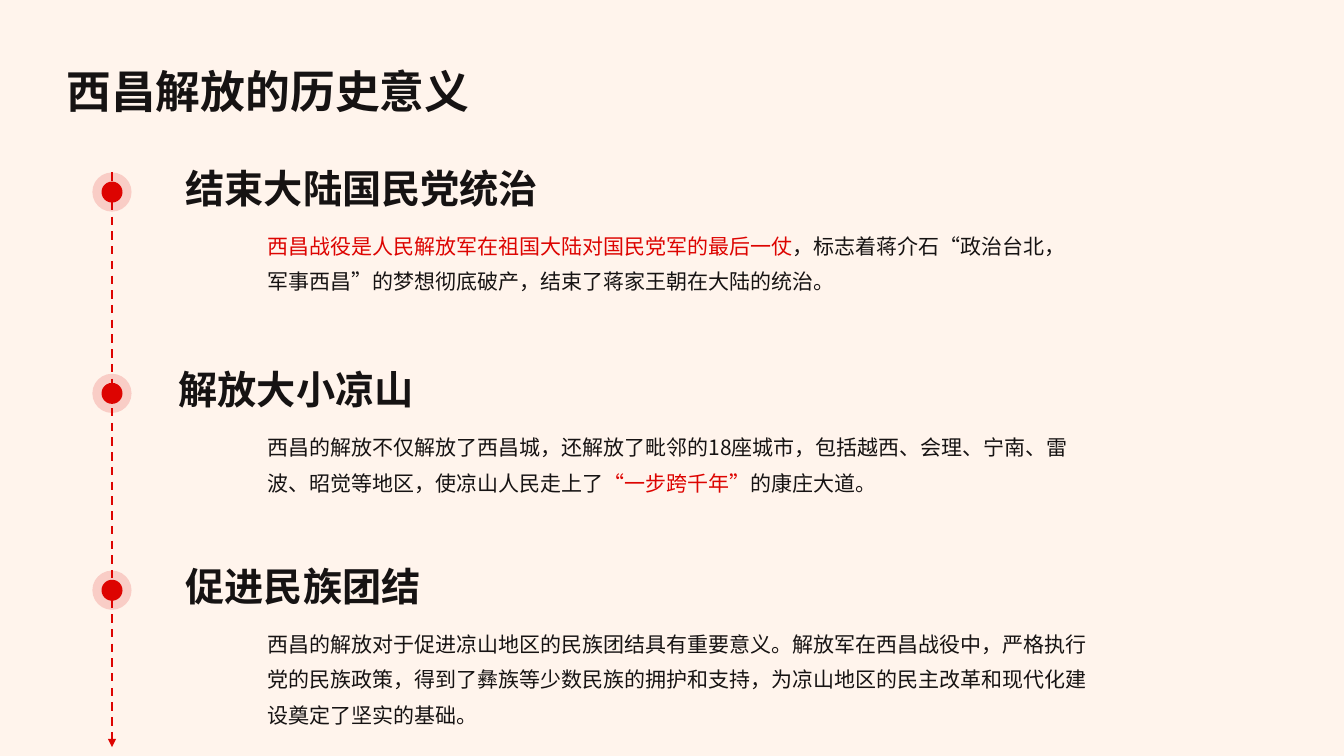
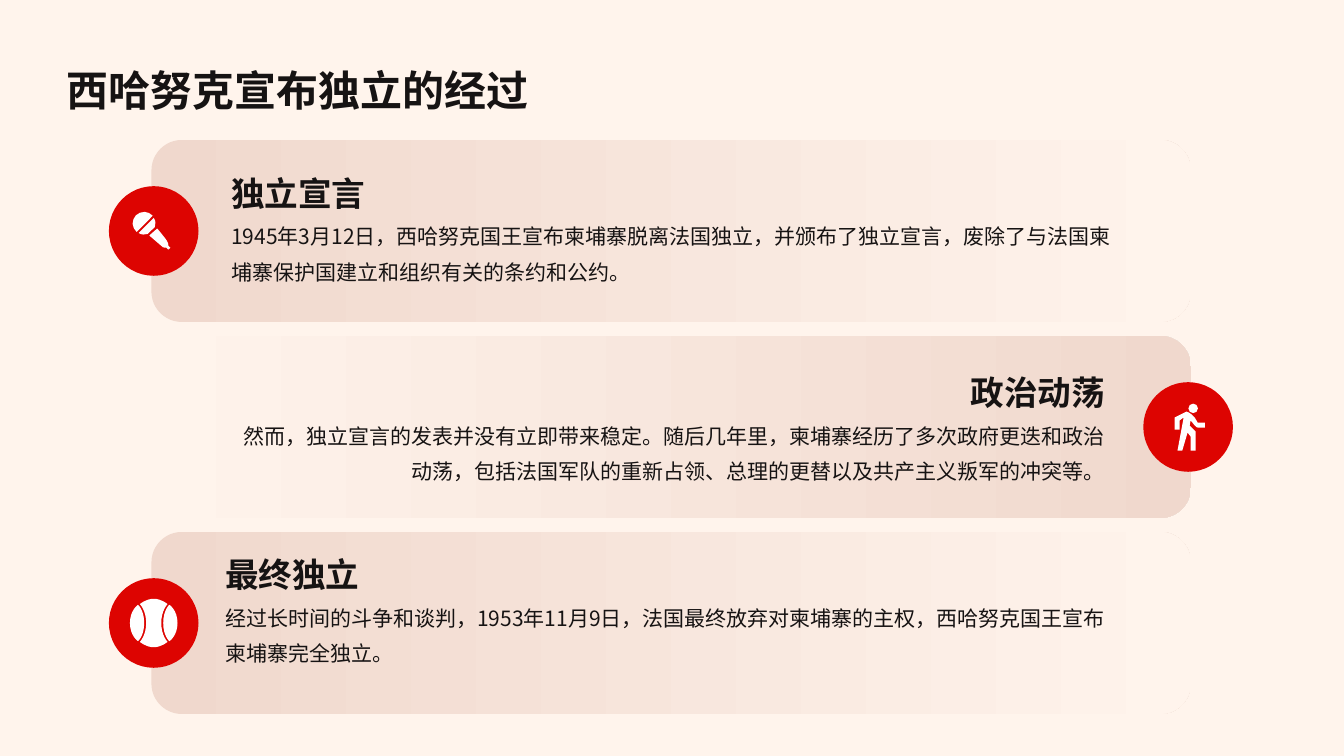
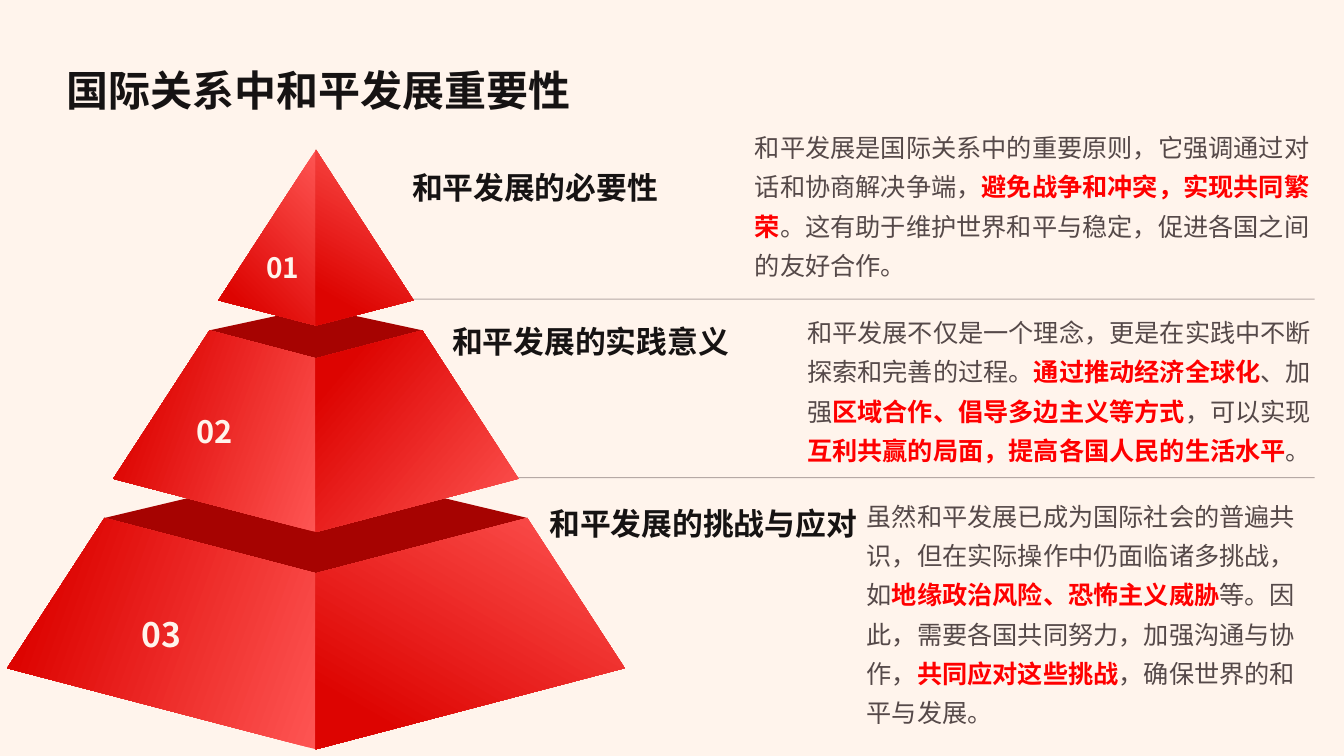
from dataclasses import dataclass
from typing import NamedTuple

from lxml import etree
from pptx import Presentation
from pptx import util as u
from pptx.dml.color import RGBColor
from pptx.enum import dml, shapes, text
from pptx.oxml import ns

Pt = u.Pt
LEFT, RIGHT, CENTER = text.PP_ALIGN.LEFT, text.PP_ALIGN.RIGHT, text.PP_ALIGN.CENTER
TOP, MIDDLE, BOTTOM = (text.MSO_ANCHOR.TOP, text.MSO_ANCHOR.MIDDLE,
                       text.MSO_ANCHOR.BOTTOM)
SHAPE = shapes.MSO_SHAPE


# Theme
@dataclass(frozen=True)
class Theme:
    font: str = "Noto Sans CJK SC"
    paper: str = "FFF4EC"
    ink: str = "161313"
    muted: str = "554949"
    rule: str = "6E5F5F"
    red: str = "DD0401"
    light_red: str = "FE5553"
    dark_red: str = "A60301"
    alert: str = "FF0000"
    sand: str = "F0D8CD"
    white: str = "FFFFFF"
    title_size: int = 30
    milestone_size: int = 28
    card_size: int = 24
    tier_size: int = 22
    note_size: int = 18
    body_size: int = 15


T = Theme()


class Box(NamedTuple):
    left: float
    top: float
    width: float
    height: float


@dataclass(frozen=True)
class Style:
    size: float
    color: str = T.ink
    bold: bool = False
    accent: str = T.red
    accent_bold: bool = False
    spacing: float | None = None
    align: text.PP_ALIGN = LEFT
    anchor: text.MSO_ANCHOR = TOP
    insets: tuple[float, float, float, float] = (0, 0, 0, 0)
    wrap: bool = True


# Drawing helpers
def set_alpha(el, percent: float) -> None:
    for clr in el.iter(ns.qn("a:srgbClr")):
        etree.SubElement(clr, ns.qn("a:alpha")).set("val", str(int(percent * 1000)))


def write(sp, content: str, st: Style) -> None:
    """Write one paragraph; parts between bars are accented."""
    tf = sp.text_frame
    tf.word_wrap = st.wrap
    tf.vertical_anchor = st.anchor
    tf.margin_left, tf.margin_top, tf.margin_right, tf.margin_bottom = map(Pt, st.insets)
    p = tf.paragraphs[0]
    p.alignment = st.align
    if st.spacing:
        p.line_spacing = st.spacing
    for i, part in enumerate(content.split("|")):
        if not part:
            continue
        r = p.add_run()
        r.text = part
        f = r.font
        f.size = Pt(st.size)
        f.bold = st.accent_bold if i % 2 else st.bold
        f.color.rgb = RGBColor.from_string(st.accent if i % 2 else st.color)
        f.name = T.font
        ea = etree.SubElement(r._r.get_or_add_rPr(), ns.qn("a:ea"))
        ea.set("typeface", T.font)


def add_text(s, box: Box, content: str, st: Style) -> None:
    write(s.shapes.add_textbox(*map(Pt, box)), content, st)


def paint(sp, color: str) -> None:
    sp.shadow.inherit = False
    sp.line.fill.background()
    sp.fill.solid()
    sp.fill.fore_color.rgb = RGBColor.from_string(color)


def paint_gradient(sp, start: str, end: str, angle: float = 0, reach: float = 1) -> None:
    """Fill with two colours; the angle runs clockwise."""
    sp.shadow.inherit = False
    sp.line.fill.background()
    sp.fill.gradient()
    sp.fill.gradient_angle = (360 - angle) % 360
    for stop, color, pos in zip(sp.fill.gradient_stops, (start, end), (0, reach)):
        stop.color.rgb = RGBColor.from_string(color)
        stop.position = pos


def add_disc(s, x: float, y: float, size: float, color: str):
    sp = s.shapes.add_shape(SHAPE.OVAL, Pt(x - size / 2), Pt(y - size / 2),
                            Pt(size), Pt(size))
    paint(sp, color)
    return sp


def add_line(s, x1: float, y1: float, x2: float, y2: float, color: str, width: float):
    c = s.shapes.add_connector(shapes.MSO_CONNECTOR.STRAIGHT,
                               Pt(x1), Pt(y1), Pt(x2), Pt(y2))
    c.line.color.rgb = RGBColor.from_string(color)
    c.line.width = Pt(width)
    etree.SubElement(c._element.spPr, ns.qn("a:effectLst"))
    return c


def line_xml(c):
    return c._element.spPr.find(ns.qn("a:ln"))


def add_outline(s, x: float, y: float, contours: list[list[tuple]]):
    """Build one freeform from contours measured from (x, y).

    A pair is a straight step; six numbers are a Bezier curve.
    """
    fb = None
    for contour in contours:
        pts = [(Pt(x + seg[i]), Pt(y + seg[i + 1]))
               for seg in contour for i in range(0, len(seg), 2)]
        if fb is None:
            fb = s.shapes.build_freeform(*pts[0])
        else:
            fb.move_to(*pts[0])
        fb.add_line_segments(pts[1:], close=True)
    sp = fb.convert_to_shape()
    # Join the three steps of each curve into one Bezier segment
    steps = iter(list(sp._element.spPr.iter(ns.qn("a:lnTo"))))
    for seg in (seg for contour in contours for seg in contour[1:]):
        step = next(steps)
        if len(seg) == 6:
            step.tag = ns.qn("a:cubicBezTo")
            for extra in (next(steps), next(steps)):
                step.append(extra[0])
                extra.getparent().remove(extra)
    return sp


def new_slide(prs, title: str, size: float = T.title_size):
    s = prs.slides.add_slide(prs.slide_layouts[6])
    add_text(s, Box(37.3, 21, 885, 72), title,
             Style(size, bold=True, spacing=1.4, anchor=MIDDLE, insets=(10, 10, 4, 10)))
    return s


# Timeline slide
class Milestone(NamedTuple):
    top: float
    title_left: float
    body_width: float
    title: str
    body: str


MILESTONES = [
    Milestone(123.2, 132.6, 578, "结束大陆国民党统治",
              "|西昌战役是人民解放军在祖国大陆对国民党军的最后一仗|，标志着蒋介石“政治台北，"
              "军事西昌”的梦想彻底破产，结束了蒋家王朝在大陆的统治。"),
    Milestone(267, 127.6, 578, "解放大小凉山",
              "西昌的解放不仅解放了西昌城，还解放了毗邻的18座城市，包括越西、会理、宁南、"
              "雷波、昭觉等地区，使凉山人民走上了|“一步跨千年”|的康庄大道。"),
    Milestone(407.6, 132.6, 593, "促进民族团结",
              "西昌的解放对于促进凉山地区的民族团结具有重要意义。解放军在西昌战役中，严格执行"
              "党的民族政策，得到了彝族等少数民族的拥护和支持，为凉山地区的民主改革和现代化建"
              "设奠定了坚实的基础。"),
]


def build_timeline(prs) -> None:
    s = new_slide(prs, "西昌解放的历史意义", 32)
    axis, halo = 80, 28
    head = Style(T.milestone_size, bold=True, spacing=1.2, anchor=BOTTOM)
    for m in MILESTONES:
        add_text(s, Box(m.title_left, m.top - 16.2, 704, 43.8), m.title, head)
        add_text(s, Box(191, m.top + 36.4, m.body_width, 60.5), m.body,
                 Style(T.body_size, spacing=1.4))
        y = m.top + halo / 2
        add_disc(s, axis, y, 15, T.red)
        set_alpha(add_disc(s, axis, y, halo, T.red)._element.spPr, 16)
    c = add_line(s, axis, MILESTONES[0].top, axis, 533.7, T.red, 1.5)
    c.line.dash_style = dml.MSO_LINE.DASH
    etree.SubElement(line_xml(c), ns.qn("a:tailEnd")).set("type", "triangle")


# Icons, measured from the centre of their disc
def ball_side(k: int) -> list[tuple]:
    return [(11.2 * k, -13), (11.2 * k, -13, 17 * k, -9.2, 17 * k, 0),
            (17 * k, 9.2, 11.2 * k, 13, 11.2 * k, 13),
            (11.2 * k, 13, 6.8 * k, 9.3, 6.8 * k, 0),
            (6.8 * k, -9.3, 11.2 * k, -13, 11.2 * k, -13)]


BALL = [
    [(5.4, 0), (5.4, -9, 9.9, -13.5, 9.9, -13.5), (9.9, -13.5, 5.6, -17.3, 0, -17.3),
     (-5.6, -17.3, -9.9, -13.5, -9.9, -13.5), (-9.9, -13.5, -5.4, -9, -5.4, 0),
     (-5.4, 9, -9.9, 13.5, -9.9, 13.5), (-9.9, 13.5, -5.6, 17.3, 0, 17.3),
     (5.6, 17.3, 9.9, 13.5, 9.9, 13.5), (9.9, 13.5, 5.4, 9, 5.4, 0)],
    ball_side(-1), ball_side(1),
]
MICROPHONE = [
    [(0.8, -2.9), (1.5, -5.1, 1.5, -7.3, 0, -9.4), (-10.8, 1.4),
     (-8.6, 2.8, -6.4, 2.8, -4.3, 2.1)],
    [(-0.7, -10.9), (-2.1, -12.3, -4.3, -13.7, -6.4, -13.7),
     (-11.5, -13.7, -15.1, -10.1, -15.1, -5.1), (-15.1, -2.9, -13.6, -0.8, -12.2, 0.7)],
    [(10.4, 10.4), (10.4, 10.4, 10.4, 7.6, 9.7, 7.6), (9.7, 6.8, 2.5, -1.8, 2.5, -1.8),
     (-3.2, 3.2), (6.1, 11.2), (6.1, 11.9, 9, 11.9, 9, 11.9), (10.4, 13.3), (11.9, 11.9)],
]
WALKER = [
    [(1.8, -4.7), (4.7, -1.1), (5.4, -0.4, 6.1, 0.4, 6.8, 0.4), (11.9, 0.4), (11.9, -3.2),
     (6.8, -3.2), (4.7, -6.8), (4, -7.6, 3.2, -8.3, 2.5, -9), (0.4, -10.4),
     (-0.4, -11.2, -1.8, -11.2, -2.5, -10.4), (-9.7, -6.8), (-9.7, 1.8), (-6.1, 1.8),
     (-6.1, -4.7), (-3.2, -6.8), (-7.6, 16.9), (-4.2, 16.9), (-0.4, 4), (1.8, 6.8),
     (1.8, 16.9), (5.4, 16.9), (5.4, 3.2), (1.1, -1.1)],
    [(3.6, -9.9), (5.5, -9.9, 7, -11.4, 7, -13.3), (7, -15.2, 5.5, -16.7, 3.6, -16.7),
     (1.7, -16.7, 0.2, -15.2, 0.2, -13.3), (0.2, -11.4, 1.7, -9.9, 3.6, -9.9)],
]


# Cards slide
class Card(NamedTuple):
    icon: list
    icon_x: float
    text_left: float
    text_drop: float
    align: text.PP_ALIGN
    title: str
    body: str


CARDS = [
    Card(MICROPHONE, 109.8, 156.6, 12.4, LEFT, "独立宣言",
         "1945年3月12日，西哈努克国王宣布柬埔寨脱离法国独立，并颁布了独立宣言，废除了与法"
         "国柬埔寨保护国建立和组织有关的条约和公约。"),
    Card(WALKER, 848.7, 151.7, 14.7, RIGHT, "政治动荡",
         "然而，独立宣言的发表并没有立即带来稳定。随后几年里，柬埔寨经历了多次政府更迭和政治"
         "动荡，包括法国军队的重新占领、总理的更替以及共产主义叛军的冲突等。"),
    Card(BALL, 109.8, 152.3, 5, LEFT, "最终独立",
         "经过长时间的斗争和谈判，1953年11月9日，法国最终放弃对柬埔寨的主权，西哈努克国王"
         "宣布柬埔寨完全独立。"),
]


def build_cards(prs) -> None:
    s = new_slide(prs, "西哈努克宣布独立的经过")
    height, insets = 130, (8.5, 4.3, 8.5, 4.3)
    for i, card in enumerate(CARDS):
        top = 100 + 140 * i
        sp = s.shapes.add_shape(SHAPE.ROUNDED_RECTANGLE,
                                *map(Pt, Box(108.2, top, 742.4, height)))
        sp.adjustments[0] = 0.167
        ends = (T.sand, T.paper) if card.align == LEFT else (T.paper, T.sand)
        paint_gradient(sp, *ends)
        y = top + height / 2
        add_disc(s, card.icon_x, y, 64, T.red)
        paint(add_outline(s, card.icon_x, y, card.icon), T.white)
        text_top = top + card.text_drop
        add_text(s, Box(card.text_left, text_top, 646, 44.6), card.title,
                 Style(T.card_size, bold=True, spacing=1.2, align=card.align,
                       anchor=MIDDLE, insets=insets))
        add_text(s, Box(card.text_left, text_top + 36.1, 646, 61), card.body,
                 Style(T.body_size, spacing=1.4, align=card.align, insets=insets))


# Pyramid slide
class Tier(NamedTuple):
    """Half widths and heights of the two faces, with its label and texts."""
    label: str
    label_size: float
    label_insets: tuple[float, float, float, float]
    top_half: float
    shoulder: float
    ridge_top: float
    back: float
    base_half: float
    base: float
    ridge_base: float
    left_angle: float
    right_angle: float
    head_box: Box
    head: str
    note_box: Box
    note_anchor: text.MSO_ANCHOR
    note_insets: tuple[float, float, float, float]
    note: str


TIERS = [
    Tier("01", 20, (22.5, 42.5, 0, 0), 0, 107, 107, 107, 69.7, 214.5, 232.5, 135, 120,
         Box(240, 102, 230, 63.4), "和平发展的必要性",
         Box(539.2, 77.4, 413.3, 136.8), MIDDLE, (0, 0, 0, 3),
         "和平发展是国际关系中的重要原则，它强调通过对话和协商解决争端，|避免战争和冲突，"
         "实现共同繁荣|。这有助于维护世界和平与稳定，促进各国之间的友好合作。"),
    Tier("02", 22, (0, 0, 0, 0), 76, 236, 256, 219.6, 144.8, 342, 380, 200, 220,
         Box(257.8, 212, 262.8, 63.4), "和平发展的实践意义",
         Box(576.5, 224.9, 363, 105.8), MIDDLE, (0, 0, 0, 3),
         "和平发展不仅是一个理念，更是在实践中不断探索和完善的过程。|通过推动经济全球化|、"
         "加强|区域合作、倡导多边主义等方式|，可以实现|互利共赢的局面，提高各国人民的生活水平|。"),
    Tier("03", 24, (0, 0, 0, 0), 151, 370, 409.5, 334, 220.6, 477.3, 535.2, 200, 120,
         Box(378, 342, 234, 63.4), "和平发展的挑战与应对",
         Box(612, 348, 329, 172.8), TOP, (7.2, 3.6, 7.2, 3.6),
         "虽然和平发展已成为国际社会的普遍共识，但在实际操作中仍面临诸多挑战，如|地缘政治风险、"
         "恐怖主义威胁|等。因此，需要各国共同努力，加强沟通与协作，|共同应对这些挑战|，"
         "确保世界的和平与发展。"),
]


def build_pyramid(prs) -> None:
    s = new_slide(prs, "国际关系中和平发展重要性")
    axis = 225.7
    for y in (213.6, 341.2):
        set_alpha(line_xml(add_line(s, 257.8, y, 939, y, T.rule, 0.75)), 50)
    # Lower tiers go first, so that each one hides part of the cap below
    for t in reversed(TIERS):
        if t.top_half:
            cap = [(-t.top_half, t.shoulder), (0, t.back),
                   (t.top_half, t.shoulder), (0, t.ridge_top)]
            paint(add_outline(s, axis, 0, [cap]), T.dark_red)
        for side, angle in ((-1, t.left_angle), (1, t.right_angle)):
            face = [(side * t.top_half, t.shoulder), (0, t.ridge_top),
                    (0, t.ridge_base), (side * t.base_half, t.base)]
            sp = add_outline(s, axis, 0, [face])
            paint_gradient(sp, T.light_red, T.red, angle, 0.85)
            if side < 0:
                write(sp, t.label, Style(t.label_size, T.paper, True, align=CENTER,
                                         anchor=MIDDLE, insets=t.label_insets, wrap=False))
    for t in TIERS:
        add_text(s, t.head_box, t.head,
                 Style(T.tier_size, bold=True, align=RIGHT, anchor=MIDDLE))
        add_text(s, t.note_box, t.note,
                 Style(T.note_size, T.muted, accent=T.alert, accent_bold=True,
                       spacing=1.3, anchor=t.note_anchor, insets=t.note_insets))


def main() -> None:
    prs = Presentation()
    prs.slide_width, prs.slide_height = Pt(960), Pt(540)
    bg = prs.slide_master.background.fill
    bg.solid()
    bg.fore_color.rgb = RGBColor.from_string(T.paper)
    build_timeline(prs)
    build_cards(prs)
    build_pyramid(prs)
    prs.save("out.pptx")


if __name__ == "__main__":
    main()
